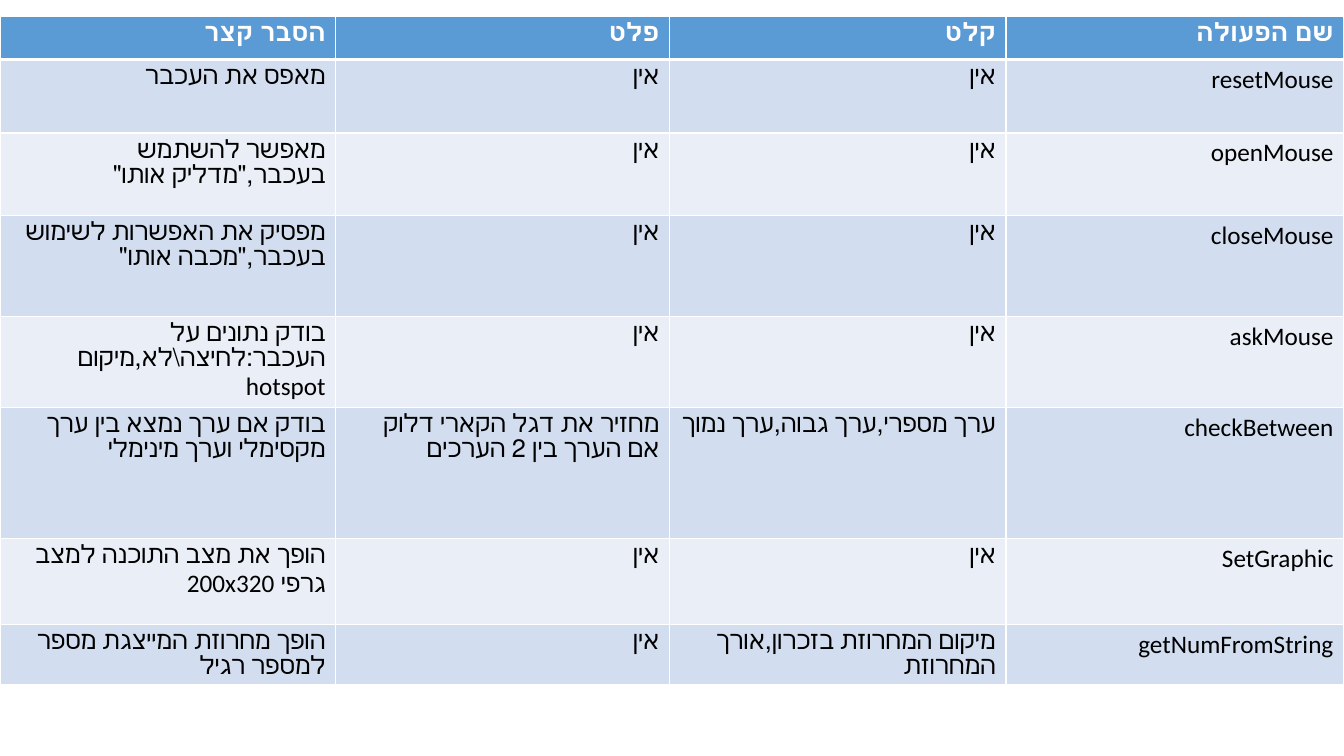
from lxml import etree
from pptx import Presentation
from pptx.dml.color import RGBColor
from pptx.enum.text import PP_ALIGN
from pptx.oxml.ns import qn
from pptx.util import Cm, Pt

RIGHT = PP_ALIGN.RIGHT
WHITE, BLACK = "FFFFFF", "000000"
HEADER_FILL, BAND_FILLS = "5B9BD5", ("EAEFF7", "D2DEEF")


def rgb(value):
    return RGBColor.from_string(value)


def add_border(cell, index, side, width):
    ln = etree.Element(qn(f"a:ln{side}"), w=str(Pt(width)))
    fill = etree.SubElement(ln, qn("a:solidFill"))
    etree.SubElement(fill, qn("a:srgbClr"), val=WHITE)
    cell._tc.get_or_add_tcPr().insert(index, ln)


# Columns: explanation, output, input, routine name
NONE = "אין"
rows = [
    ("הסבר קצר", "פלט ", "קלט", "שם הפעולה"),
    ("מאפס את העכבר ", NONE, NONE, "resetMouse"),
    ('מאפשר להשתמש בעכבר,"מדליק אותו"', NONE, NONE, "openMouse"),
    ('מפסיק את האפשרות לשימוש בעכבר,"מכבה אותו"', NONE, NONE, "closeMouse"),
    ("בודק נתונים על העכבר:לחיצה\\לא,מיקום hotspot", NONE, NONE, "askMouse"),
    ("בודק אם ערך נמצא בין ערך מקסימלי וערך מינימלי",
     "מחזיר את דגל הקארי דלוק אם הערך בין 2 הערכים",
     "ערך מספרי,ערך גבוה,ערך נמוך", "checkBetween"),
    ("הופך את מצב התוכנה למצב גרפי 200x320", NONE, NONE, "SetGraphic"),
    ("הופך מחרוזת המייצגת מספר למספר רגיל", NONE,
     "מיקום המחרוזת בזכרון,אורך המחרוזת", "getNumFromString"),
]
col_widths = (8.46, 8.41, 8.48, 8.51)
row_heights = (1.09, 1.85, 2.08, 2.54, 1.63, 3.3, 2.16, 1.4)

prs = Presentation()
prs.slide_width, prs.slide_height = Cm(33.87), Cm(19.05)
s = prs.slides.add_slide(prs.slide_layouts[6])

# Table grid
table = s.shapes.add_table(len(rows), len(col_widths), Cm(0), Cm(0.41),
                           Cm(sum(col_widths)), Cm(sum(row_heights))).table
for column, width in zip(table.columns, col_widths):
    column.width = Cm(width)
for row, height in zip(table.rows, row_heights):
    row.height = Cm(height)

# Cells: header row, then banded rows
for i, texts in enumerate(rows):
    header = i == 0
    font_format = {"size": Pt(18), "name": "Calibri", "bold": header}
    widths = {"L": 1, "R": 1, "T": 3 if i == 1 else 1, "B": 3 if header else 1}
    for j, text in enumerate(texts):
        cell = table.cell(i, j)
        cell.fill.solid()
        cell.fill.fore_color.rgb = rgb(HEADER_FILL if header else BAND_FILLS[i % 2])
        for index, (side, width) in enumerate(widths.items()):
            add_border(cell, index, side, width)

        p = cell.text_frame.paragraphs[0]
        p.alignment = RIGHT
        p._p.get_or_add_pPr().set("rtl", "1")
        r = p.add_run()
        r.text = text
        for name, value in font_format.items():
            setattr(r.font, name, value)
        r.font.color.rgb = rgb(WHITE if header else BLACK)

prs.save("out.pptx")
